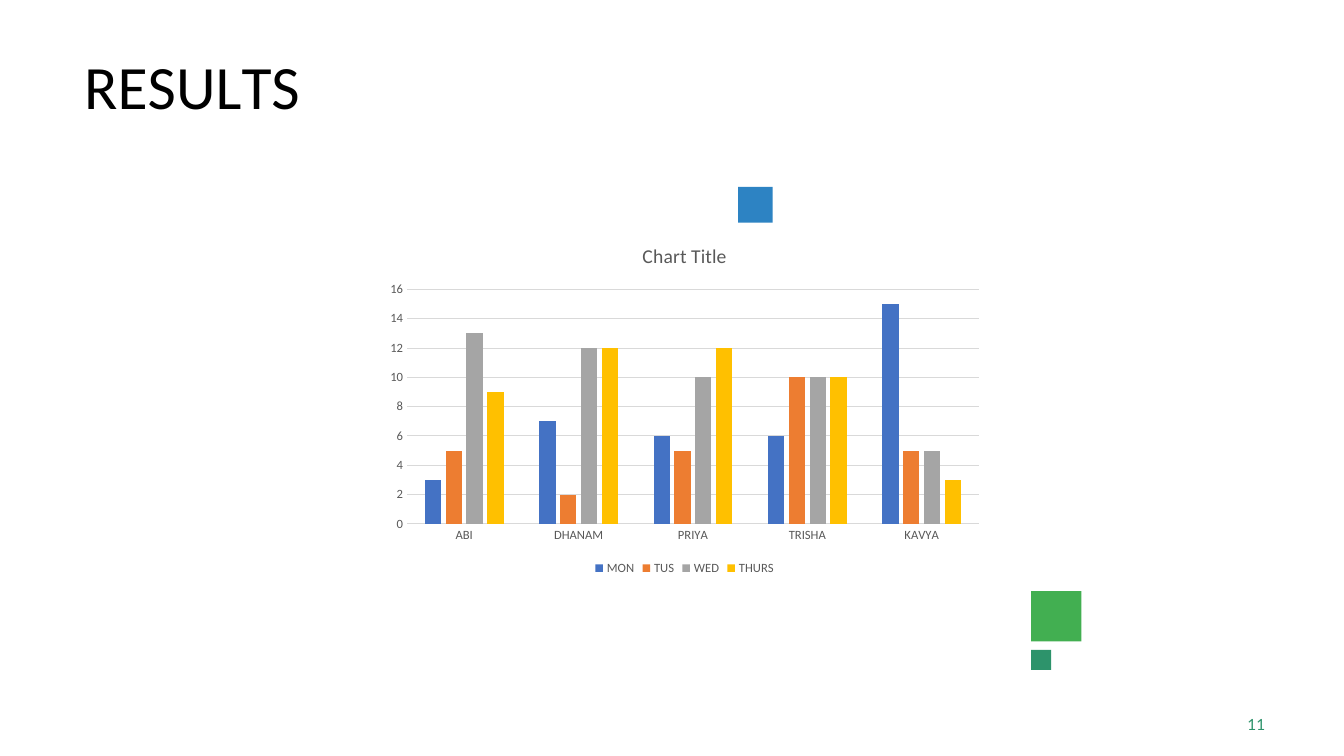
from pptx import Presentation
from pptx import util as u
from pptx.chart import data
from pptx.dml.color import RGBColor
from pptx.enum import chart as ch
from pptx.enum import shapes, text

PX = 9525
HUES = {
    "black": "000000", "gray": "595959", "grid": "D9D9D9",
    "green": "42AF51", "blue": "2D83C3", "teal": "2D936B",
}
DAYS = [
    ("MON", "4472C4", (3, 7, 6, 6, 15)),
    ("TUS", "ED7D31", (5, 2, 5, 10, 5)),
    ("WED", "A5A5A5", (13, 12, 10, 10, 5)),
    ("THURS", "FFC000", (9, 12, 12, 10, 3)),
]
NAMES = ("ABI", "DHANAM", "PRIYA", "TRISHA", "KAVYA")


def emu(*box):
    return [u.Emu(n * PX) for n in box]


def paint(fill, hue):
    fill.solid()
    fill.fore_color.rgb = RGBColor.from_string(hue)


def style(font, size, hue, face="Calibri"):
    font.size = u.Pt(size)
    font.name = face
    font.bold = False
    font.color.rgb = RGBColor.from_string(HUES[hue])


def square(slide, box, hue):
    tile = slide.shapes.add_shape(shapes.MSO_SHAPE.RECTANGLE, *emu(*box))
    tile.shadow.inherit = False
    paint(tile.fill, HUES[hue])
    tile.line.fill.background()


def label(slide, box, runs, size, hue, face, anchor, before):
    frame = slide.shapes.add_textbox(*emu(*box)).text_frame
    frame.word_wrap = True
    frame.vertical_anchor = anchor
    frame.margin_left = frame.margin_right = frame.margin_bottom = 0
    frame.margin_top = u.Emu(PX)
    para = frame.paragraphs[0]
    para.space_before = u.Pt(before)
    for words, gap in runs:
        run = para.add_run()
        run.text = words
        style(run.font, size, hue, face)
        run.font._element.set("spc", str(gap))
    return para


def title(slide, box):
    runs = [("R", 0), ("E", -40), ("S", 10), ("U", -30), ("L", -400), ("TS", 0)]
    label(slide, box, runs, 44, "black", "Calibri", text.MSO_ANCHOR.MIDDLE, 1.1)


def number(slide, box):
    para = label(slide, box, [("11", 10)], 11, "teal", "Lato",
                 text.MSO_ANCHOR.TOP, 0.6)
    para._p.get_or_add_pPr().set("marL", str(4 * PX))


def rule(line):
    line.width = u.Pt(0.75)
    line.color.rgb = RGBColor.from_string(HUES["grid"])


def graph(slide, box):
    info = data.CategoryChartData()
    info.categories = NAMES
    for day, _, vals in DAYS:
        info.add_series(day, vals)
    chart = slide.shapes.add_chart(
        ch.XL_CHART_TYPE.COLUMN_CLUSTERED, *emu(*box), info).chart
    style(chart.font, 10, "black")

    chart.has_title = True
    run = chart.chart_title.text_frame.paragraphs[0].add_run()
    run.text = "Chart Title"
    style(run.font, 14, "gray")
    chart.chart_title.include_in_layout = False

    chart.has_legend = True
    chart.legend.position = ch.XL_LEGEND_POSITION.BOTTOM
    chart.legend.include_in_layout = False
    style(chart.legend.font, 9, "gray")

    cats, vals = chart.category_axis, chart.value_axis
    for axis in (cats, vals):
        axis.major_tick_mark = axis.minor_tick_mark = ch.XL_TICK_MARK.NONE
        style(axis.tick_labels.font, 9, "gray")
    rule(cats.format.line)
    vals.format.line.fill.background()
    vals.has_major_gridlines = True
    rule(vals.major_gridlines.format.line)
    vals.minimum_scale, vals.maximum_scale, vals.major_unit = 0, 16, 2

    plot = chart.plots[0]
    plot.vary_by_categories = False
    plot.gap_width, plot.overlap = 219, -27
    for bars, (_, hue, _) in zip(plot.series, DAYS):
        paint(bars.format.fill, hue)
        bars.invert_if_negative = False


def main():
    deck = Presentation()
    deck.slide_width, deck.slide_height = emu(1280, 720)
    slide = deck.slides.add_slide(deck.slide_layouts[6])
    square(slide, (982, 563, 48, 48), "green")
    square(slide, (703, 178, 33, 34), "blue")
    square(slide, (982, 619, 19, 19), "teal")
    title(slide, (80, 40, 256, 80))
    number(slide, (1184, 680, 24, 20))
    graph(slide, (360, 216, 584, 336))
    deck.save("out.pptx")


if __name__ == "__main__":
    main()
